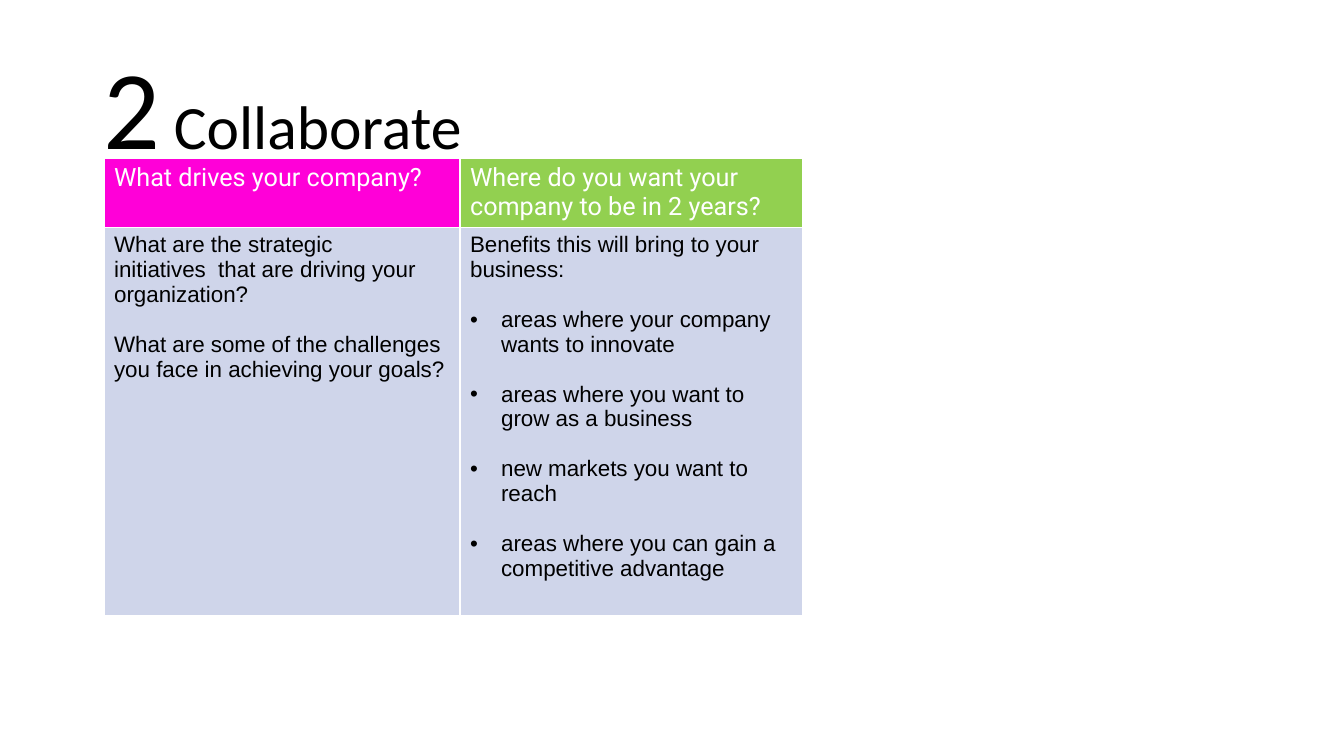
from lxml.etree import SubElement
from pptx import Presentation
from pptx.dml.color import RGBColor
from pptx.enum.text import MSO_ANCHOR, MSO_AUTO_SIZE, PP_ALIGN
from pptx.oxml.ns import qn
from pptx.util import Pt

EMU_PER_PX = 9071
WHITE, BLACK, BODY_FILL = "FFFFFF", "000000", "CFD5EA"
BULLET_INDENT = 31
BLOCK_GAP = 17.9  # one line of body text, in points

HEADINGS = [("What drives your company?", "FF00D8"),
            ("Where do you want your company to be in 2 years?", "92D050")]
# Each paragraph: text, starts a new block, bulleted
QUESTIONS = [
    ("What are the strategic", False, False),
    ("initiatives  that are driving your organization?", False, False),
    ("What are some of the challenges you face in achieving your goals?", True, False),
]
BENEFITS = [
    ("Benefits this will bring to your business:", False, False),
    ("areas where your company wants to innovate", True, True),
    ("areas where you want to grow as a business", True, True),
    ("new markets you want to reach", True, True),
    ("areas where you can gain a competitive advantage", True, True),
]


def px(length):
    return length * EMU_PER_PX


def color(hex_string):
    return RGBColor.from_string(hex_string)


def add_run(paragraph, text, size, font, hex_color):
    run = paragraph.add_run()
    run.text = text
    run.font.size = Pt(size)
    run.font.name = font
    run.font.bold = False
    run.font.color.rgb = color(hex_color)


def add_bullet(paragraph):
    properties = paragraph._p.get_or_add_pPr()
    properties.set("marL", str(px(BULLET_INDENT)))
    properties.set("indent", str(-px(BULLET_INDENT)))
    SubElement(properties, qn("a:buFont"), typeface="Arial")
    SubElement(properties, qn("a:buChar"), char="•")


def style_cell(cell, fill):
    """Give the cell thin white borders and a solid fill."""
    properties = cell._tc.get_or_add_tcPr()
    for side in ("a:lnL", "a:lnR", "a:lnT", "a:lnB"):
        border = SubElement(properties, qn(side), w=str(Pt(1)))
        SubElement(SubElement(border, qn("a:solidFill")), qn("a:srgbClr"), val=WHITE)
    cell.fill.solid()
    cell.fill.fore_color.rgb = color(fill)


def fill_body(cell, paragraphs):
    style_cell(cell, BODY_FILL)
    frame = cell.text_frame
    for index, (text, new_block, bulleted) in enumerate(paragraphs):
        paragraph = frame.add_paragraph() if index else frame.paragraphs[0]
        if new_block:
            paragraph.space_before = Pt(BLOCK_GAP)
        if bulleted:
            add_bullet(paragraph)
        add_run(paragraph, text, 16, "Arial", BLACK)


def place_title(slide, left, top, width, height):
    title = slide.shapes.title
    title.left, title.top = px(left), px(top)
    title.width, title.height = px(width), px(height)
    frame = title.text_frame
    frame.auto_size = MSO_AUTO_SIZE.NONE
    frame.word_wrap = True
    frame.vertical_anchor = MSO_ANCHOR.MIDDLE
    heading = frame.paragraphs[0]
    heading.alignment = PP_ALIGN.LEFT
    heading.line_spacing = 0.9
    add_run(heading, "2", 80, "Calibri", BLACK)
    add_run(heading, " Collaborate", 44, "Calibri", BLACK)


def place_discussion(slide, left, top, column_widths, row_heights):
    table = slide.shapes.add_table(2, 2, px(left), px(top), px(sum(column_widths)),
                                   px(sum(row_heights))).table
    for row, height in zip(table.rows, row_heights):
        row.height = px(height)
    columns = zip(column_widths, HEADINGS, (QUESTIONS, BENEFITS))
    for index, (width, (heading, fill), paragraphs) in enumerate(columns):
        table.columns[index].width = px(width)
        header = table.cell(0, index)
        style_cell(header, fill)
        add_run(header.text_frame.paragraphs[0], heading, 18, "Roboto", WHITE)
        fill_body(table.cell(1, index), paragraphs)


def main():
    deck = Presentation()
    deck.slide_width, deck.slide_height = px(1344), px(756)
    slide = deck.slides.add_slide(deck.slide_layouts[5])
    place_title(slide, 93, 40, 1159, 146)
    place_discussion(slide, 104, 158, (356, 343), (69, 388))
    deck.save("out.pptx")


if __name__ == "__main__":
    main()
